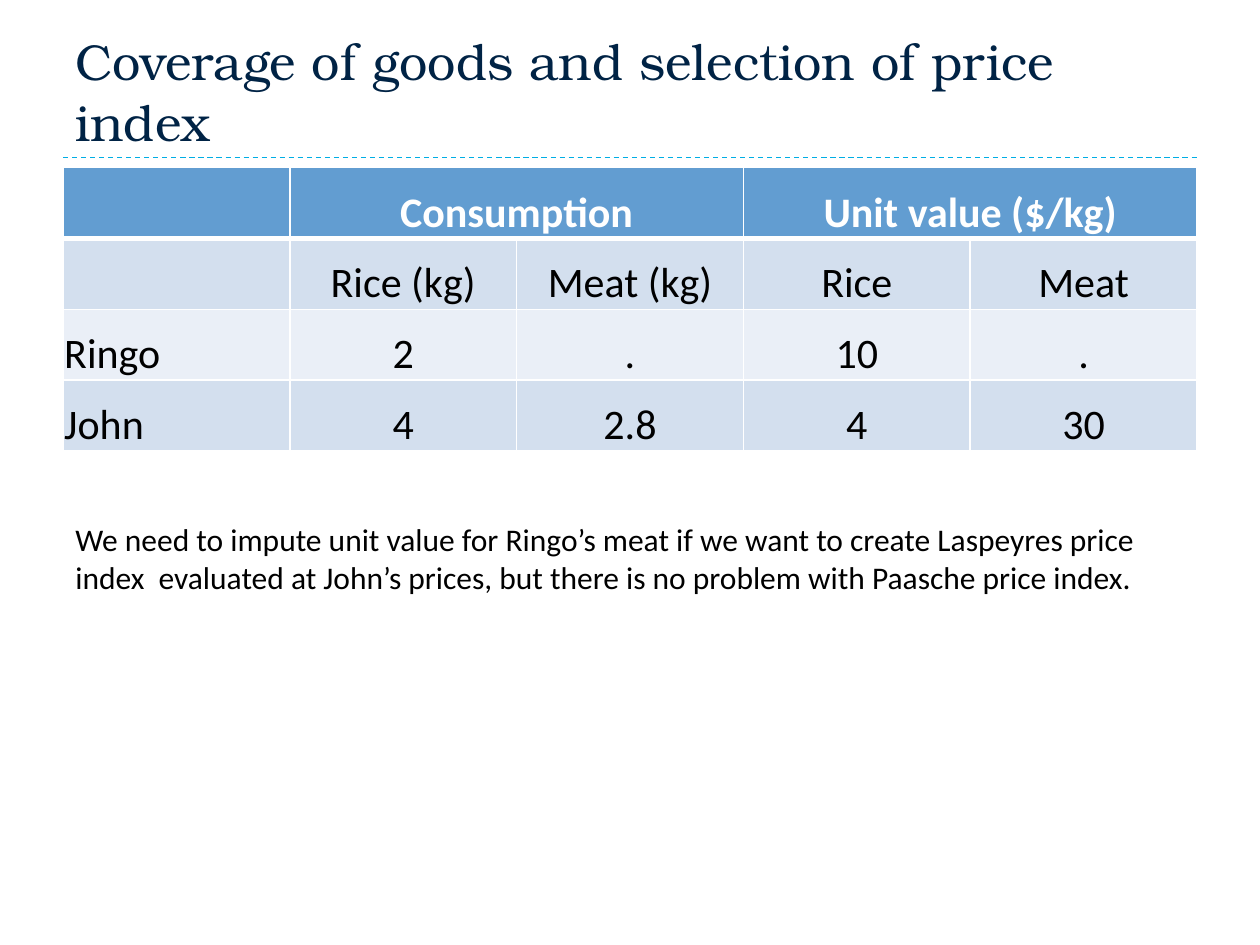
from lxml.etree import SubElement
from pptx import Presentation
from pptx.dml.color import RGBColor
from pptx.enum.dml import MSO_LINE
from pptx.enum.shapes import MSO_CONNECTOR
from pptx.enum.text import MSO_ANCHOR, MSO_AUTO_SIZE, PP_ALIGN
from pptx.oxml.ns import qn
from pptx.util import Inches, Pt

COLORS = {
    "title": "002345",
    "rule": "00ADE4",
    "header": "629DD1",
    "band_dark": "D3DFEE",
    "band_light": "EAEFF7",
    "white": "FFFFFF",
    "black": "000000",
}


def rgb(name):
    return RGBColor.from_string(COLORS[name])


def write_text(frame, text, font="Calibri", size=18, color="black", bold=False,
               align=PP_ALIGN.LEFT, anchor=MSO_ANCHOR.TOP):
    frame.word_wrap = True
    frame.vertical_anchor = anchor
    paragraph = frame.paragraphs[0]
    paragraph.alignment = align
    run = paragraph.add_run()
    run.text = text
    run.font.name = font
    run.font.size = Pt(size)
    run.font.bold = bold
    run.font.color.rgb = rgb(color)


def set_borders(cell, bottom_width):
    """Draw white cell borders; call before filling, as the schema wants lines first."""
    properties = cell._tc.get_or_add_tcPr()
    widths = {"a:lnL": 1, "a:lnR": 1, "a:lnT": 1, "a:lnB": bottom_width}
    for side, width in widths.items():
        border = SubElement(properties, qn(side), w=str(Pt(width)))
        fill = SubElement(border, qn("a:solidFill"))
        SubElement(fill, qn("a:srgbClr"), val=COLORS["white"])


class SlideBuilder:
    left, width = Inches(0.5), Inches(9)

    def __init__(self, slide):
        self.slide = slide

    def title(self, text, top, height):
        heading = self.slide.shapes.title
        heading.left, heading.top = self.left, Inches(top)
        heading.width, heading.height = self.width, Inches(height)
        write_text(heading.text_frame, text, font="TeX Gyre Bonum", size=28.8,
                   color="title", anchor=MSO_ANCHOR.BOTTOM)
        heading.text_frame.auto_size = MSO_AUTO_SIZE.NONE

    def rule(self, top):
        rule = self.slide.shapes.add_connector(
            MSO_CONNECTOR.STRAIGHT, self.left, Inches(top),
            self.left + self.width, Inches(top))
        rule.line.color.rgb = rgb("rule")
        rule.line.width = Pt(0.75)
        rule.line.dash_style = MSO_LINE.DASH
        SubElement(rule._element.spPr, qn("a:effectLst"))

    def table(self, rows, merged_headers, top, height):
        """Fill a banded table; each merged header spans two columns from its index."""
        table = self.slide.shapes.add_table(
            len(rows), len(rows[0]), self.left, Inches(top),
            self.width, Inches(height)).table
        for row_index, row in enumerate(rows):
            is_header = row_index == 0
            band = "band_dark" if row_index % 2 else "band_light"
            for column_index, text in enumerate(row):
                cell = table.cell(row_index, column_index)
                set_borders(cell, 3 if is_header else 1)
                cell.fill.solid()
                cell.fill.fore_color.rgb = rgb("header" if is_header else band)
                cell.margin_left = cell.margin_right = cell.margin_top = Inches(0.01)
                cell.margin_bottom = 0
                cell.vertical_anchor = MSO_ANCHOR.BOTTOM
                if text:
                    write_text(cell.text_frame, text, size=24, bold=is_header,
                               color="white" if is_header else "black",
                               align=PP_ALIGN.CENTER if column_index else PP_ALIGN.LEFT,
                               anchor=None)
        for column_index in merged_headers:
            table.cell(0, column_index).merge(table.cell(0, column_index + 1))

    def note(self, text, top, height):
        note = self.slide.shapes.add_textbox(
            self.left, Inches(top), self.width, Inches(height))
        write_text(note.text_frame, text)
        note.text_frame.auto_size = MSO_AUTO_SIZE.SHAPE_TO_FIT_TEXT


def main():
    presentation = Presentation()
    presentation.slide_width, presentation.slide_height = Inches(10), Inches(7.5)
    title_only = presentation.slide_layouts[5]
    builder = SlideBuilder(presentation.slides.add_slide(title_only))

    builder.rule(top=1.25)
    builder.title("Coverage of goods and selection of price index", top=0.17, height=1.08)
    consumption_and_prices = [
        ["", "Consumption", "", "Unit value ($/kg)", ""],
        ["", "Rice (kg)", "Meat (kg)", "Rice", "Meat"],
        ["Ringo", "2", ".", "10", "."],
        ["John", "4", "2.8", "4", "30"],
    ]
    builder.table(consumption_and_prices, merged_headers=(1, 3), top=1.33, height=2.25)
    builder.note(
        "We need to impute unit value for Ringo’s meat if we want to create Laspeyres "
        "price index  evaluated at John’s prices, but there is no problem with Paasche "
        "price index.", top=4.08, height=0.71)
    presentation.save("out.pptx")


if __name__ == "__main__":
    main()
